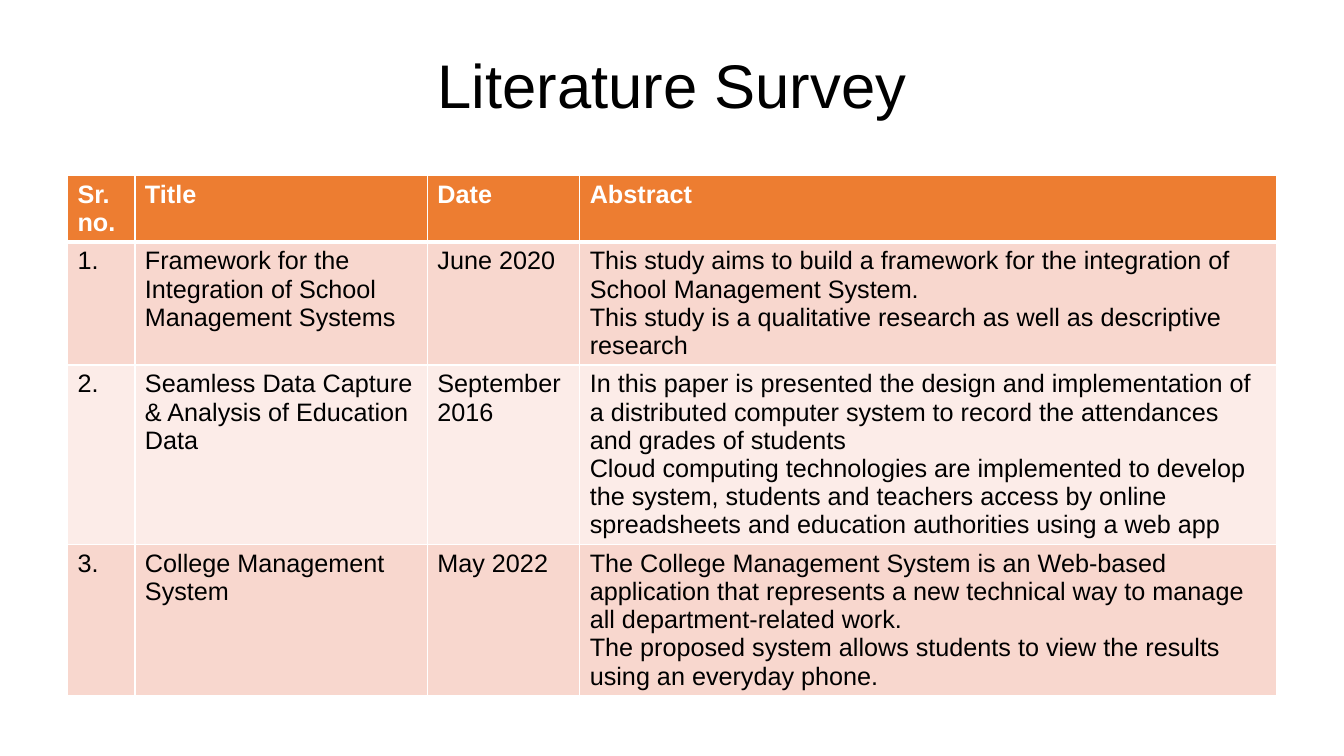
from lxml.etree import SubElement
from pptx import Presentation
from pptx.dml.color import RGBColor
from pptx.enum.text import MSO_ANCHOR, PP_ALIGN
from pptx.oxml.ns import qn
from pptx.util import Cm, Pt

LEFT, WIDTH = Cm(1.7), Cm(30.48)
COLUMN_WIDTHS = (1.7, 7.37, 3.84, 17.57)
ROW_HEIGHTS = (1.64, 3.1, 4.51, 3.8)
HEADER_FILL, BAND_FILLS = "ED7D31", ("F8D7CE", "FCECE8")
WHITE, BLACK = "FFFFFF", "000000"
TITLE_FORMAT = {"size": Pt(44), "bold": False}
HEADER_FORMAT = {"size": Pt(18), "bold": True}
BODY_FORMAT = {"size": Pt(18), "bold": False}

SURVEY = (
    ("Sr. no.", "Title", "Date", "Abstract"),
    ("1.", "Framework for the Integration of School Management Systems", "June 2020",
     "This study aims to build a framework for the integration of School Management System.\n"
     "This study is a qualitative research as well as descriptive research"),
    ("2.", "Seamless Data Capture & Analysis of Education Data", "September 2016",
     "In this paper is presented the design and implementation of a distributed computer "
     "system to record the attendances and grades of students\n"
     "Cloud computing technologies are implemented to develop the system, students and "
     "teachers access by online spreadsheets and education authorities using a web app"),
    ("3.", "College Management System", "May 2022",
     "The College Management System is an Web-based application that represents a new "
     "technical way to manage all department-related work.\n"
     "The proposed system allows students to view the results using an everyday phone."),
)


def rgb(code):
    """Turn a hex string into a colour."""
    return RGBColor.from_string(code)


def write(frame, text, color, font_format):
    """Fill a text frame, one paragraph per line, in one format."""
    frame.text = text
    for paragraph in frame.paragraphs:
        for run in paragraph.runs:
            run.font.name = "Arial"
            run.font.color.rgb = rgb(color)
            for attribute, value in font_format.items():
                setattr(run.font, attribute, value)


def add_title(slide, text):
    """Add the centred slide title."""
    heading = slide.shapes.add_textbox(LEFT, Cm(0.76), WIDTH, Cm(2.92))
    frame = heading.text_frame
    write(frame, text, BLACK, TITLE_FORMAT)
    layout = {"word_wrap": True, "vertical_anchor": MSO_ANCHOR.MIDDLE,
              "margin_left": 0, "margin_right": 0, "margin_top": 0, "margin_bottom": 0}
    for attribute, value in layout.items():
        setattr(frame, attribute, value)
    frame.paragraphs[0].alignment = PP_ALIGN.CENTER
    frame.paragraphs[0].line_spacing = 0.9


def set_borders(cell, widths):
    """Draw white cell borders with the given widths in points."""
    properties = cell._tc.get_or_add_tcPr()
    for side, width in widths.items():
        border = SubElement(properties, qn(f"a:ln{side}"), w=str(Pt(width)))
        SubElement(SubElement(border, qn("a:solidFill")), qn("a:srgbClr"), val=WHITE)


def style_cell(cell, text, row_number):
    """Write one cell as header or as part of a banded row."""
    header = row_number == 0
    if header:
        fill, color, font_format = HEADER_FILL, WHITE, HEADER_FORMAT
    else:
        fill, color, font_format = BAND_FILLS[(row_number - 1) % 2], BLACK, BODY_FORMAT
    write(cell.text_frame, text, color, font_format)
    set_borders(cell, {"L": 1, "R": 1, "T": 3 if row_number == 1 else 1, "B": 3 if header else 1})
    cell.fill.solid()
    cell.fill.fore_color.rgb = rgb(fill)


def add_survey(slide, entries):
    """Add the survey table with its header row."""
    survey = slide.shapes.add_table(len(entries), len(COLUMN_WIDTHS), LEFT, Cm(4.42),
                                    WIDTH, Cm(sum(ROW_HEIGHTS))).table
    for column, width in zip(survey.columns, COLUMN_WIDTHS):
        column.width = Cm(width)
    for row_number, (row, height, entry) in enumerate(zip(survey.rows, ROW_HEIGHTS, entries)):
        row.height = Cm(height)
        for cell, text in zip(row.cells, entry):
            style_cell(cell, text, row_number)


def main():
    """Build the literature survey slide."""
    presentation = Presentation()
    presentation.slide_width, presentation.slide_height = Cm(33.87), Cm(19.05)
    slide = presentation.slides.add_slide(presentation.slide_layouts[6])
    add_survey(slide, SURVEY)
    add_title(slide, "Literature Survey")
    presentation.save("out.pptx")


if __name__ == "__main__":
    main()
